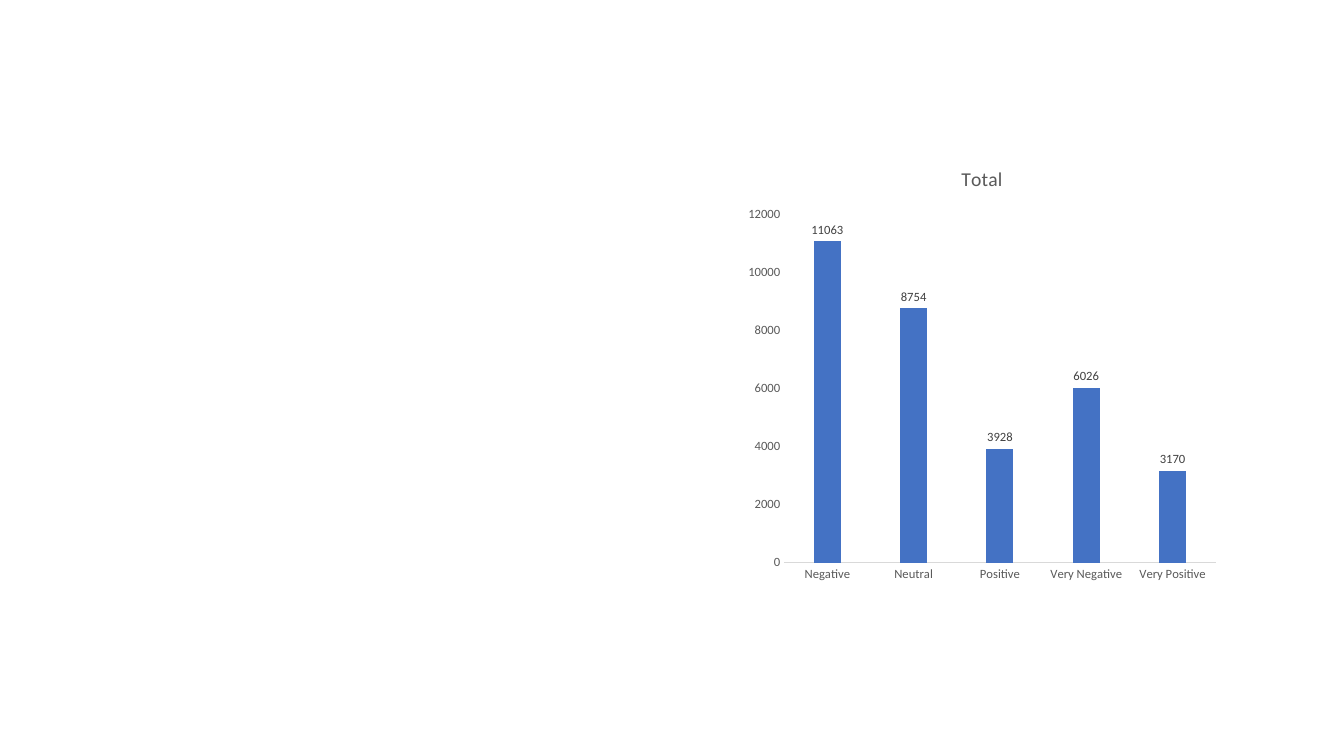
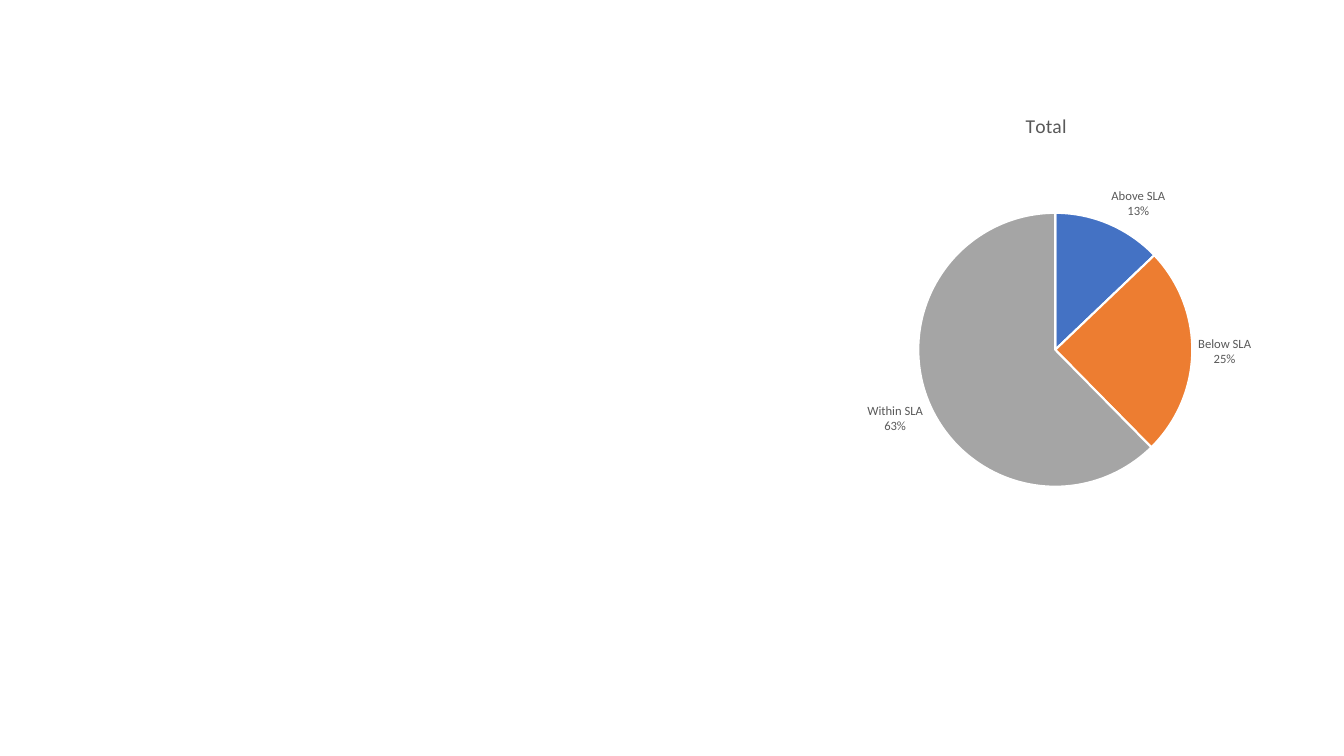
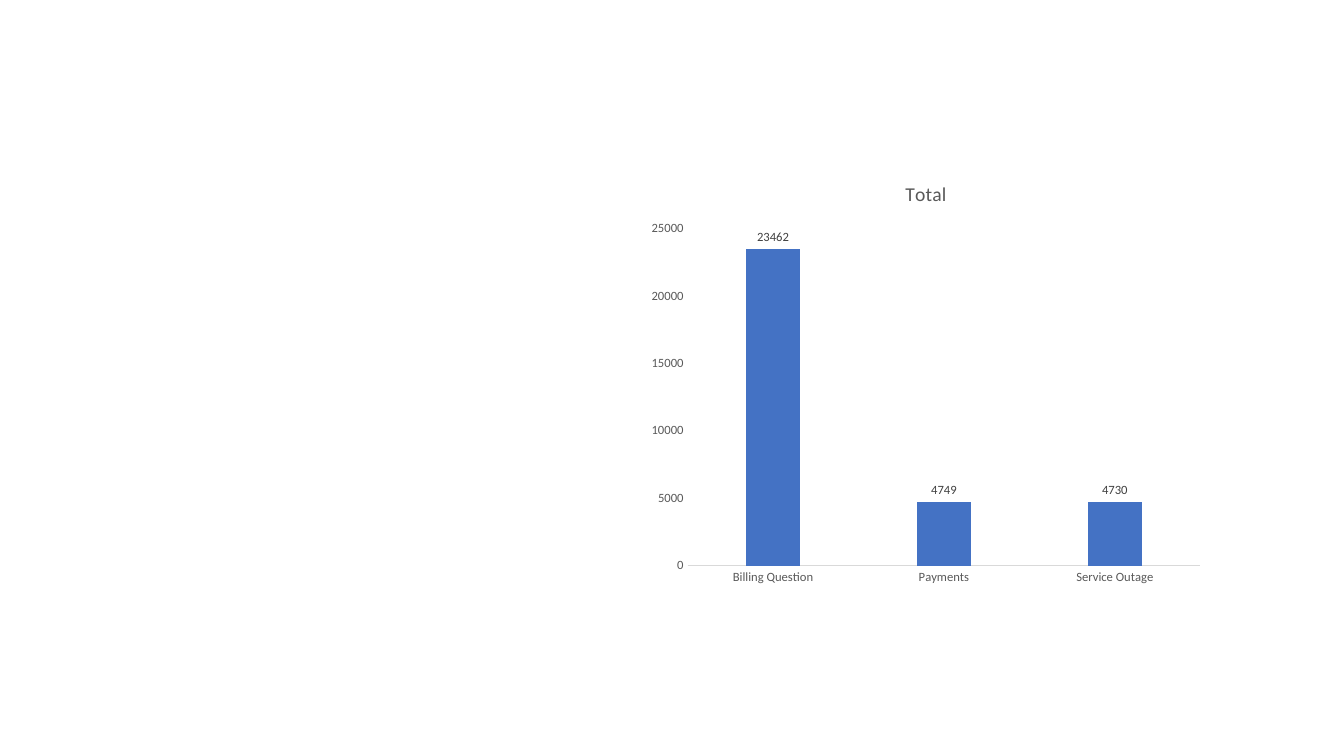
from lxml.etree import SubElement
from pptx import Presentation
from pptx.chart.data import CategoryChartData as Data
from pptx.dml.color import RGBColor as RGB
from pptx.enum.chart import XL_CHART_TYPE as Kind, XL_LABEL_POSITION as Pos, XL_TICK_MARK as Tick
from pptx.oxml.ns import qn
from pptx.util import Inches, Pt

# Shared look
HUES = {"blue": "4472C4", "orange": "ED7D31", "gray": "A5A5A5", "text": "595959",
        "dark": "404040", "rule": "D9D9D9", "black": "000000", "white": "FFFFFF"}
FACE = "Calibri"


def hue(name):
    return RGB.from_string(HUES[name])


def style(font, size, tone="text"):
    look = {"name": FACE, "size": Pt(size), "bold": False}
    for key, val in look.items():
        setattr(font, key, val)
    font.color.rgb = hue(tone)


# Charts: kind, box in percent of the slide (left, top, width, height), values
charts = [
    (Kind.COLUMN_CLUSTERED, (54.95, 19.55, 36.23, 58.53),
     {"Negative": 11063, "Neutral": 8754, "Positive": 3928,
      "Very Negative": 6026, "Very Positive": 3170}),
    (Kind.PIE, (60.85, 12.53, 33.98, 59.73),
     {"Above SLA": 13, "Below SLA": 25, "Within SLA": 63}),
    (Kind.COLUMN_CLUSTERED, (47.63, 21.5, 42.53, 56.93),
     {"Billing Question": 23462, "Payments": 4749, "Service Outage": 4730}),
]

deck = Presentation()
deck.slide_width, deck.slide_height = Inches(13.33), Inches(7.5)
wide, high = deck.slide_width, deck.slide_height
blank = deck.slide_layouts[6]

for kind, box, vals in charts:
    slide = deck.slides.add_slide(blank)
    data = Data()
    data.categories = list(vals)
    data.add_series("Total", list(vals.values()))
    place = [int(side * part / 100) for side, part in zip((wide, high) * 2, box)]
    chart = slide.shapes.add_chart(kind, *place, data).chart
    pie = kind == Kind.PIE

    # Title and base font
    style(chart.font, 10, "black")
    chart.has_legend = False
    chart.has_title = True
    title = chart.chart_title
    title.include_in_layout = False
    title.text_frame.text = "Total"
    style(title.text_frame.paragraphs[0].runs[0].font, 14)

    # Labels
    plot = chart.plots[0]
    plot.vary_by_categories = pie
    bars = plot.series[0]
    labels = bars.data_labels
    show = {"show_value": not pie, "show_percentage": pie,
            "show_category_name": pie, "position": Pos.OUTSIDE_END}
    for key, val in show.items():
        setattr(labels, key, val)
    style(labels.font, 9, "text" if pie else "dark")

    if pie:
        # Slices
        for i, name in enumerate(("blue", "orange", "gray")):
            form = bars.points[i].format
            form.fill.solid()
            form.fill.fore_color.rgb = hue(name)
            form.line.color.rgb = hue("white")
            form.line.width = Pt(1.5)

        # Pie area as shares of the chart
        area = chart._chartSpace.chart.plotArea
        for old in area.findall(qn("c:layout")):
            area.remove(old)
        frame = SubElement(area, qn("c:layout"))
        area.insert(0, frame)
        spot = SubElement(frame, qn("c:manualLayout"))
        rules = {"layoutTarget": "inner", "xMode": "edge", "yMode": "edge",
                 "x": "0.22", "y": "0.26", "w": "0.6", "h": "0.61"}
        for key, val in rules.items():
            SubElement(spot, qn("c:" + key), val=val)

        # Category above percent; the rounded shares add up to 101
        tags = bars._element.find(qn("c:dLbls"))
        gap = SubElement(tags, qn("c:separator"))
        gap.text = "\n"
        tags.find(qn("c:showBubbleSize")).addnext(gap)
        last = bars.points[2].data_label
        last.position = Pos.OUTSIDE_END
        last.text_frame.text = "Within SLA\n63%"
        for para in last.text_frame.paragraphs:
            style(para.runs[0].font, 9)
    else:
        # Bars and axes
        plot.gap_width, plot.overlap = 219, -27
        bars.format.fill.solid()
        bars.format.fill.fore_color.rgb = hue("blue")
        for axis in (chart.category_axis, chart.value_axis):
            axis.has_major_gridlines = False
            axis.major_tick_mark = axis.minor_tick_mark = Tick.NONE
            style(axis.tick_labels.font, 9)
        chart.value_axis.format.line.fill.background()
        rule = chart.category_axis.format.line
        rule.color.rgb = hue("rule")
        rule.width = Pt(0.75)

deck.save("out.pptx")
